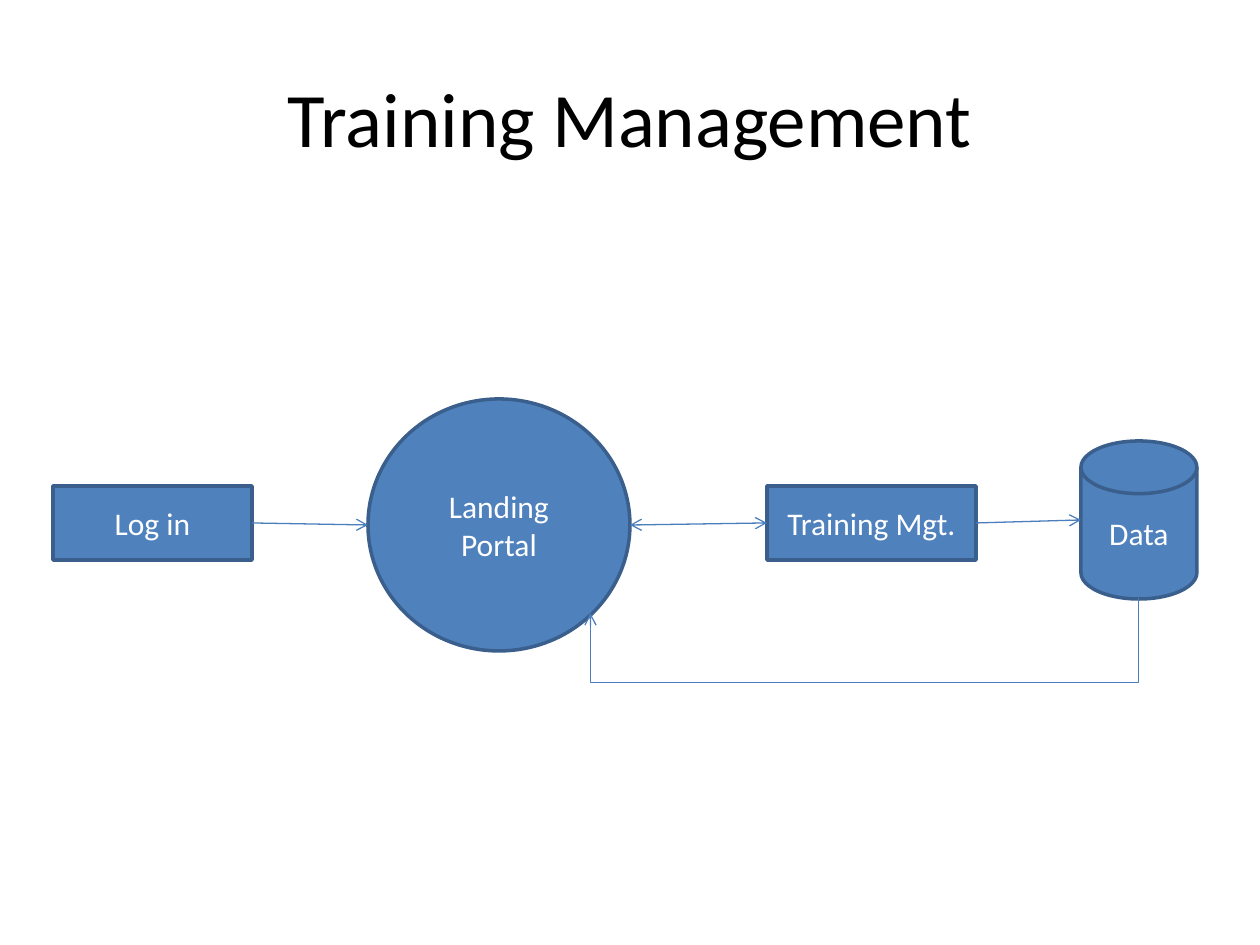
import pptx
import pptx.util
import pptx.dml.color
import pptx.enum.shapes
import pptx.enum.text
import pptx.oxml
import pptx.oxml.ns

PX = 914400 // 126  # EMU per px
COLORS = {"fill": "4F81BD", "outline": "3A5F8C", "arrow": "4B7EBC",
          "label": "FFFFFF", "title": "000000"}
SHAPES = pptx.enum.shapes.MSO_SHAPE
CONNECTORS = pptx.enum.shapes.MSO_CONNECTOR
qn = pptx.oxml.ns.qn


def write(frame, text, size, color):
    frame.text = text
    frame.word_wrap = True
    frame.vertical_anchor = pptx.enum.text.MSO_ANCHOR.MIDDLE
    paragraph = frame.paragraphs[0]
    paragraph.alignment = pptx.enum.text.PP_ALIGN.CENTER
    font_format = {"name": "Calibri", "size": pptx.util.Pt(size)}
    for attribute, value in font_format.items():
        setattr(paragraph.runs[0].font, attribute, value)
    paragraph.runs[0].font.color.rgb = pptx.dml.color.RGBColor.from_string(COLORS[color])


def add_arrow(kind, points, ends):
    arrow = slide.shapes.add_connector(kind, *(p * PX for p in points))
    arrow.line.width = pptx.util.Pt(0.75)
    arrow.line.color.rgb = pptx.dml.color.RGBColor.from_string(COLORS["arrow"])
    for end in ends:
        line_end = pptx.oxml.parse_xml(f"<a:{end} {pptx.oxml.ns.nsdecls('a')} type='arrow'/>")
        arrow.line._get_or_add_ln().append(line_end)
    arrow._element.spPr.append(arrow._element.makeelement(qn("a:effectLst")))
    return arrow


presentation = pptx.Presentation()
presentation.slide_width = pptx.util.Inches(10)
presentation.slide_height = pptx.util.Inches(7.5)
slide = presentation.slides.add_slide(presentation.slide_layouts[5])

# Title
title = slide.shapes.title
title_box = {"left": 63, "top": 38, "width": 1134, "height": 158}
for side, length in title_box.items():
    setattr(title, side, length * PX)
write(title.text_frame, "Training Management", 44, "title")

# Steps of the flow
steps = [
    ("Log in", SHAPES.FLOWCHART_PROCESS, 53, 486, 199, 74),
    ("Landing Portal", SHAPES.OVAL, 368, 399, 262, 252),
    ("Training Mgt.", SHAPES.FLOWCHART_PROCESS, 767, 486, 209, 74),
    ("Data", SHAPES.FLOWCHART_MAGNETIC_DISK, 1081, 441, 116, 158),
]
for label, kind, *box in steps:
    step = slide.shapes.add_shape(kind, *(length * PX for length in box))
    step.shadow.inherit = False
    step.fill.solid()
    step.fill.fore_color.rgb = pptx.dml.color.RGBColor.from_string(COLORS["fill"])
    step.line.color.rgb = pptx.dml.color.RGBColor.from_string(COLORS["outline"])
    step.line.width = pptx.util.Pt(2)
    write(step.text_frame, label, 18, "label")

# Straight arrows between neighbouring steps
for points, ends in [
    ((252, 523, 368, 525), ["tailEnd"]),
    ((630, 525, 767, 523), ["headEnd", "tailEnd"]),
    ((976, 523, 1081, 520), ["tailEnd"]),
]:
    add_arrow(CONNECTORS.STRAIGHT, points, ends)

# Return path from the data store to the portal, a bent connector turned 90 degrees
start_x, start_y, end_x, end_y, drop = 1139, 599, 591, 614, 84
rise, span = end_y - start_y, start_x - end_x
left = (start_x + end_x - rise) // 2
top = (start_y + end_y - span) // 2
return_path = add_arrow(CONNECTORS.ELBOW, (left, top, left + rise, top + span), ["tailEnd"])
properties = return_path._element.spPr
properties.find(qn("a:xfrm")).set("rot", str(90 * 60000))
adjustments = properties.find(qn("a:prstGeom")).find(qn("a:avLst"))
bend = adjustments.makeelement(
    qn("a:gd"), {"name": "adj1", "fmla": f"val {drop * 100000 // rise}"})
adjustments.append(bend)

presentation.save("out.pptx")
